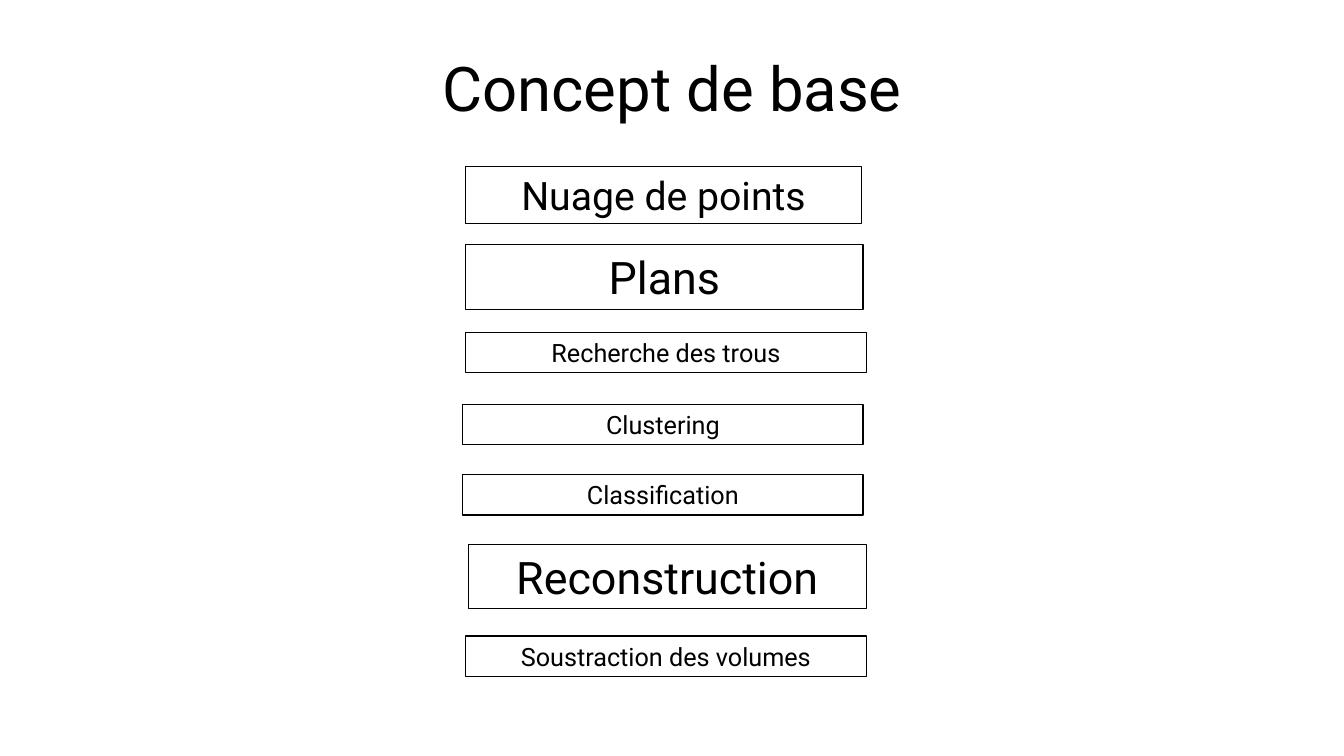
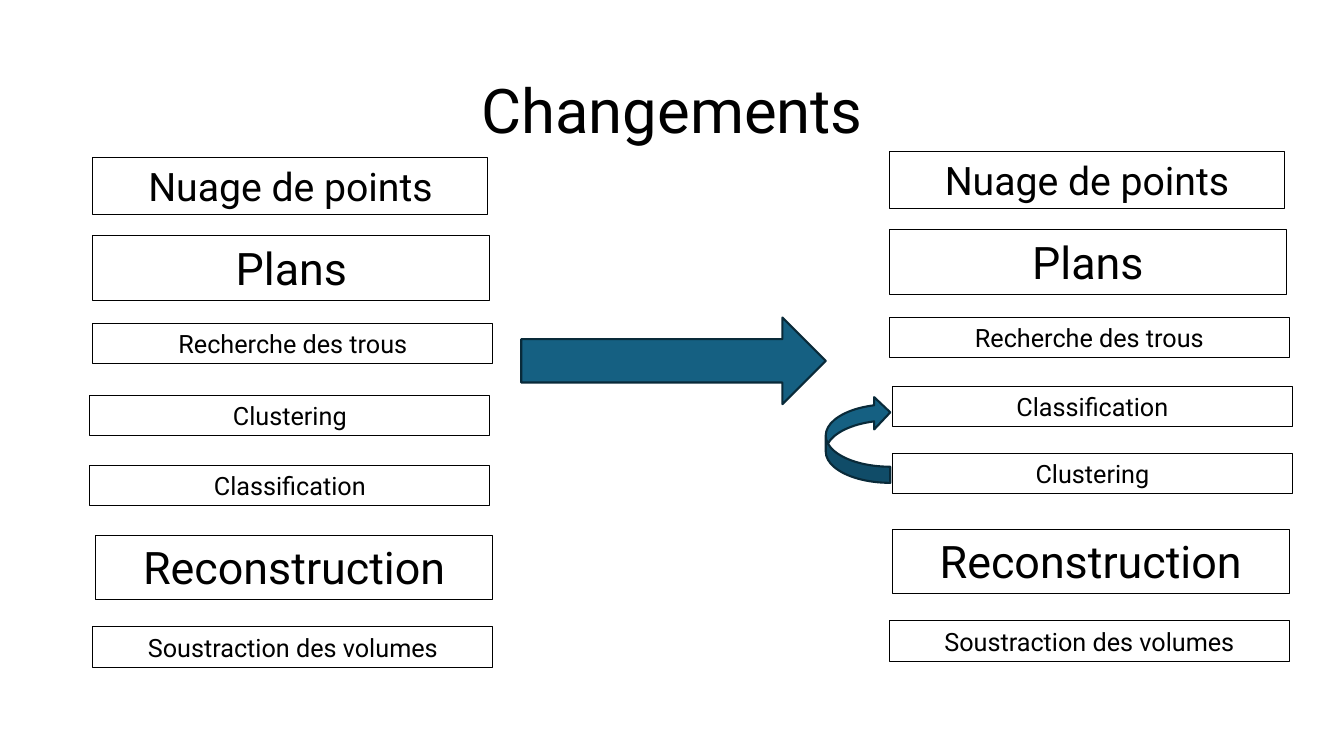
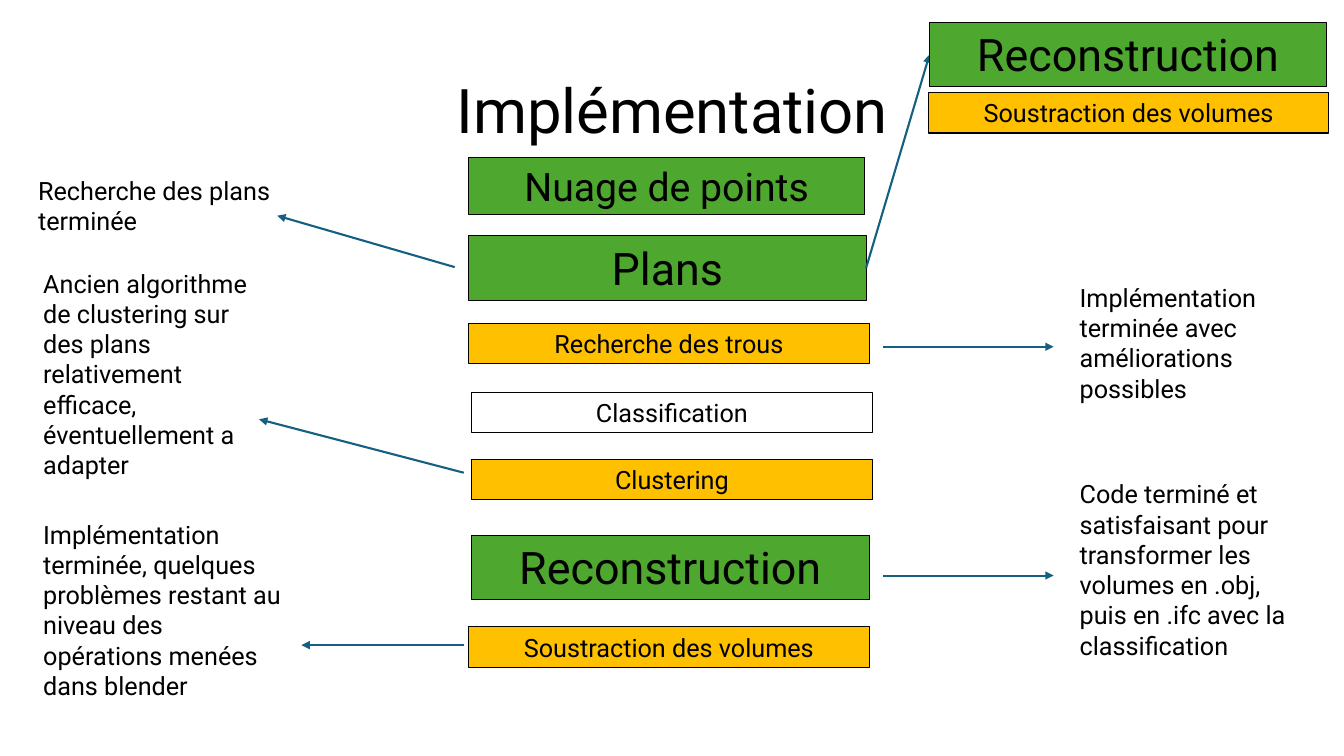
from lxml import etree
from pptx import Presentation
from pptx.dml.color import RGBColor
from pptx.enum.shapes import MSO_CONNECTOR, MSO_SHAPE
from pptx.enum.text import MSO_ANCHOR, MSO_AUTO_SIZE, PP_ALIGN
from pptx.oxml.ns import qn
from pptx.util import Emu, Pt

STRAIGHT = MSO_CONNECTOR.STRAIGHT
RECTANGLE = MSO_SHAPE.RECTANGLE
RIGHT_ARROW = MSO_SHAPE.RIGHT_ARROW
CURVED_LEFT_ARROW = MSO_SHAPE.CURVED_LEFT_ARROW
TOP, MIDDLE = MSO_ANCHOR.TOP, MSO_ANCHOR.MIDDLE
GROW = MSO_AUTO_SIZE.SHAPE_TO_FIT_TEXT
LEFT, CENTER = PP_ALIGN.LEFT, PP_ALIGN.CENTER

EMU_PER_PX = 9144  # 100 px to the inch
TITLE_ONLY = 5
FONT = "Roboto"
BLACK = RGBColor(0x00, 0x00, 0x00)
BLUE = RGBColor(0x15, 0x60, 0x82)
DARK_BLUE = RGBColor(0x09, 0x2A, 0x39)
GREEN = RGBColor(0x4E, 0xA7, 0x2E)
AMBER = RGBColor(0xFF, 0xC0, 0x00)

POINTS, PLANS, HOLES = "Nuage de points", "Plans", "Recherche des trous"
CLUSTERING, CLASSIFICATION = "Clustering", "Classification"
RECONSTRUCTION, SUBTRACTION = "Reconstruction", "Soustraction des volumes"

# Width, height and text size of a step box
SMALL_STEP, LARGE_STEP = (397, 40, 18), (394, 64, 32)
STEP_STYLES = {POINTS: (392, 57, 28), PLANS: LARGE_STEP, RECONSTRUCTION: LARGE_STEP}

# Each step with its offset from the top left corner of the column
FIRST_STEPS = [(POINTS, 0, 0), (PLANS, 0, 78), (HOLES, 0, 165)]
LAST_STEPS = [(RECONSTRUCTION, 3, 375), (SUBTRACTION, 0, 466)]
OLD_ORDER = FIRST_STEPS + [(CLUSTERING, -3, 236), (CLASSIFICATION, -3, 306)] + LAST_STEPS
NEW_ORDER = FIRST_STEPS + [(CLASSIFICATION, 3, 233), (CLUSTERING, 3, 300)] + LAST_STEPS

PROGRESS = {POINTS: GREEN, PLANS: GREEN, RECONSTRUCTION: GREEN,
            HOLES: AMBER, CLUSTERING: AMBER, SUBTRACTION: AMBER}

NOTES = [
    (28, 169, 267, 71, "Recherche des plans terminée"),
    (33, 261, 242, 222, "Ancien algorithme de clustering sur des plans relativement "
                        "efficace, éventuellement a adapter"),
    (33, 510, 256, 162, "Implémentation terminée, quelques problèmes restant au niveau "
                        "des opérations menées dans blender"),
    (1061, 275, 244, 131, "Implémentation terminée avec améliorations possibles"),
    (1061, 470, 239, 192, "Code terminé et satisfaisant pour transformer les volumes "
                          "en .obj, puis en .ifc avec la classification"),
]
NOTE_ARROWS = [
    (451, 265, 275, 214),
    (460, 469, 257, 416),
    (460, 640, 299, 640),
    (876, 344, 1045, 344),
    (876, 571, 1045, 571),
]


def px(*lengths):
    return [Emu(length * EMU_PER_PX) for length in lengths]


class Deck:
    """Holds the shared style and the slide being filled."""

    def __init__(self):
        self.presentation = Presentation()
        self.presentation.slide_width, self.presentation.slide_height = px(1333, 750)
        self.slide = None

    def set_text(self, frame, text, size, align, anchor=TOP):
        frame.text = text
        frame.word_wrap = True
        frame.vertical_anchor = anchor
        paragraph = frame.paragraphs[0]
        paragraph.alignment = align
        font = paragraph.runs[0].font
        font.name, font.size = FONT, Pt(size)
        font.color.rgb = BLACK

    def add_slide(self, title, title_height=145):
        layout = self.presentation.slide_layouts[TITLE_ONLY]
        self.slide = self.presentation.slides.add_slide(layout)
        heading = self.slide.shapes.title
        heading.left, heading.top, heading.width, heading.height = px(92, 40, 1150, title_height)
        self.set_text(heading.text_frame, title, 44, CENTER, MIDDLE)
        heading.text_frame.paragraphs[0].line_spacing = 0.9

    def shape(self, kind, box, fill, line, line_width):
        shape = self.slide.shapes.add_shape(kind, *px(*box))
        shape.shadow.inherit = False
        if fill is None:
            shape.fill.background()
        else:
            shape.fill.solid()
            shape.fill.fore_color.rgb = fill
        shape.line.color.rgb = line
        shape.line.width = Pt(line_width)
        return shape

    def step(self, label, left, top, fill=None):
        width, height, size = STEP_STYLES.get(label, SMALL_STEP)
        box = self.shape(RECTANGLE, (left, top, width, height), fill, BLACK, 0.75)
        self.set_text(box.text_frame, label, size, CENTER)
        box.text_frame.auto_size = GROW

    def column(self, left, top, steps, fills=None):
        fills = fills or {}
        for label, shift, drop in steps:
            self.step(label, left + shift, top + drop, fills.get(label))

    def block_arrow(self, kind, box, rotation=0):
        self.shape(kind, box, BLUE, DARK_BLUE, 1.5).rotation = rotation

    def note(self, left, top, width, height, text):
        frame = self.slide.shapes.add_textbox(*px(left, top, width, height)).text_frame
        self.set_text(frame, text, 18, LEFT)
        frame.auto_size = GROW

    def arrow(self, *ends):
        connector = self.slide.shapes.add_connector(STRAIGHT, *px(*ends))
        connector.line.color.rgb = BLUE
        connector.line.width = Pt(1.5)
        properties = connector._element.spPr
        etree.SubElement(properties.find(qn("a:ln")), qn("a:tailEnd"), type="triangle")
        etree.SubElement(properties, qn("a:effectLst"))


def main():
    deck = Deck()

    deck.add_slide("Concept de base", title_height=102)
    deck.column(462, 165, OLD_ORDER)

    deck.add_slide("Changements")
    deck.column(92, 156, OLD_ORDER)
    deck.column(882, 150, NEW_ORDER)
    deck.block_arrow(RIGHT_ARROW, (517, 315, 302, 86))
    deck.block_arrow(CURVED_LEFT_ARROW, (819, 393, 64, 86), rotation=180)

    deck.add_slide("Implémentation")
    for ends in NOTE_ARROWS:
        deck.arrow(*ends)
    for note in NOTES:
        deck.note(*note)
    deck.column(465, 156, NEW_ORDER, PROGRESS)
    deck.arrow(859, 266, 922, 54)
    deck.step(SUBTRACTION, 921, 92, AMBER)
    deck.step(RECONSTRUCTION, 922, 22, GREEN)

    deck.presentation.save("out.pptx")


if __name__ == "__main__":
    main()
